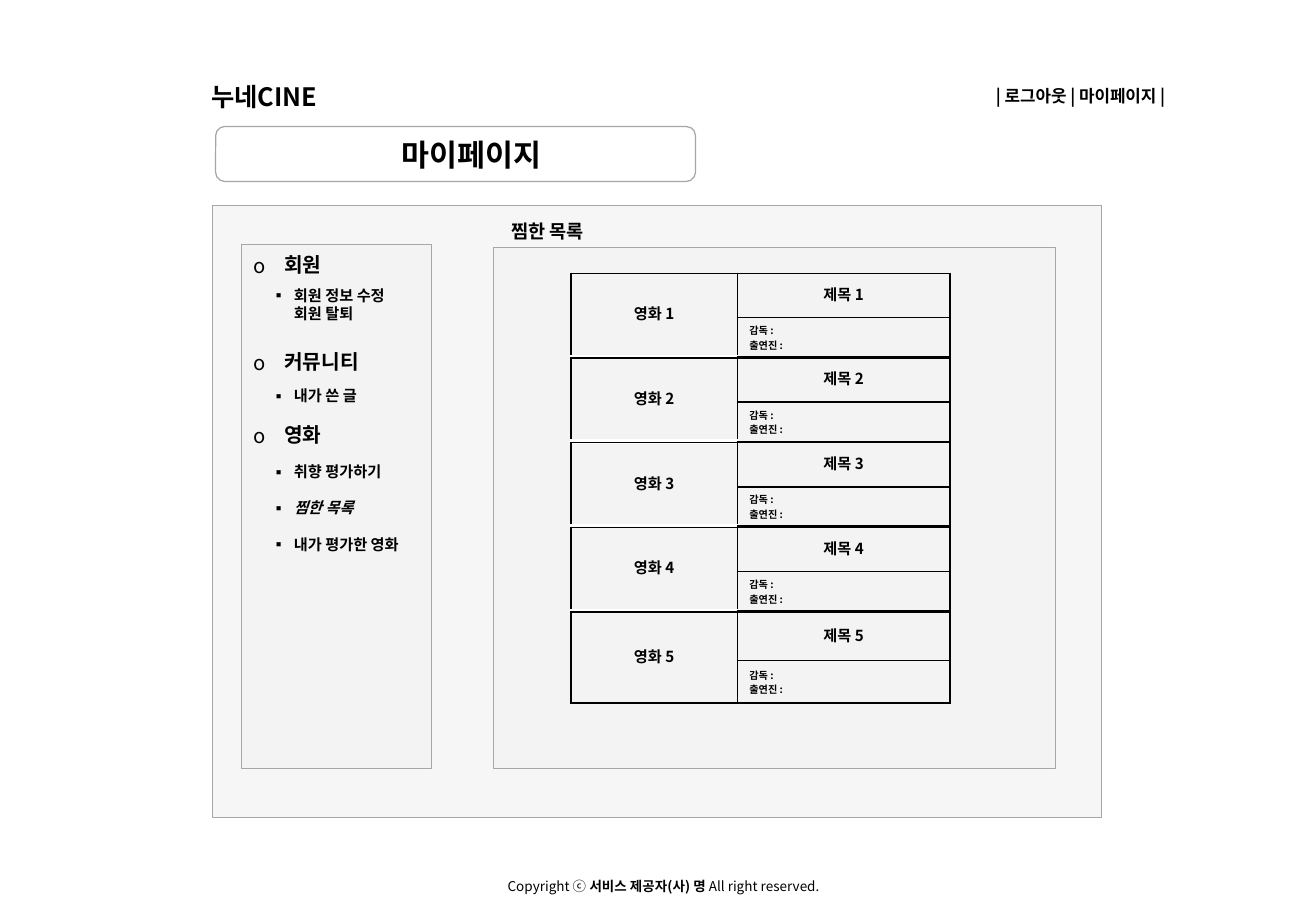
from dataclasses import dataclass

from lxml.etree import SubElement
from pptx import Presentation
from pptx.dml.color import RGBColor
from pptx.enum.shapes import MSO_SHAPE as Preset
from pptx.enum.text import MSO_ANCHOR as Anchor, MSO_AUTO_SIZE as AutoSize, PP_ALIGN as Align
from pptx.oxml.ns import qn
from pptx.util import Pt


@dataclass(frozen=True)
class Theme:
    font: str = "Noto Sans CJK KR"
    ink: str = "000000"
    paper: str = "FFFFFF"
    panel: str = "F2F2F2"
    outline: str = "A6A6A6"
    panel_opacity: int = 69
    title: int = 18
    logo: int = 15
    heading: int = 12
    subtitle: int = 11
    links: int = 10
    item: int = 9
    copyright: int = 8
    detail: int = 6


THEME = Theme()

# Text, menu level, space before
MENU = [
    ("회원", 0, 0),
    ("회원 정보 수정\v회원 탈퇴", 1, 5.6),
    ("커뮤니티", 0, 12.4),
    ("내가 쓴 글", 1, 7.5),
    ("영화", 0, 7.1),
    ("취향 평가하기", 1, 9.2),
    ("찜한 목록", 1, 10.7),
    ("내가 평가한 영화", 1, 10.7),
]
CURRENT_ITEM = "찜한 목록"
MOVIE_COUNT = 5


def style_span(span, size, bold=True, italic=False):
    font = span.font
    font.name, font.size, font.bold, font.italic = THEME.font, Pt(size), bold, italic
    font.color.rgb = RGBColor.from_string(THEME.ink)
    SubElement(font._element, qn("a:ea"), typeface=THEME.font)


def style_para(para, size, align=Align.LEFT, spacing=1.2, italic=False):
    para.alignment = align
    para.line_spacing = Pt(size * spacing)
    para.space_before = para.space_after = Pt(0)
    for span in para.runs:
        style_span(span, size, italic=italic)


def place(shape, left, top, width, height):
    shape.left, shape.top, shape.width, shape.height = map(Pt, (left, top, width, height))


def fill_panel(shape):
    """Give a shape the pale, partly transparent panel fill and grey outline."""
    shape.fill.solid()
    shape.fill.fore_color.rgb = RGBColor.from_string(THEME.panel)
    color = shape.element.spPr.find(qn("a:solidFill"))[0]
    SubElement(color, qn("a:alpha"), val=str(THEME.panel_opacity * 1000))
    outline(shape)


def outline(shape):
    shape.line.color.rgb = RGBColor.from_string(THEME.outline)
    shape.line.width = Pt(0.75)


def add_frame(page, preset, left, top, width, height):
    """Add a panel behind the placeholders."""
    frame = page.shapes.add_shape(preset, Pt(left), Pt(top), Pt(width), Pt(height))
    frame.shadow.inherit = False
    if preset == Preset.RECTANGLE:
        fill_panel(frame)
    else:
        frame.fill.background()
        outline(frame)
    page.shapes.title.element.addprevious(frame.element)


def add_label(page, text, size, left, top, width, height, align=Align.LEFT):
    box = page.shapes.add_textbox(Pt(left), Pt(top), Pt(width), Pt(height))
    box.text_frame.word_wrap = True
    box.text_frame.text = text
    style_para(box.text_frame.paragraphs[0], size, align)
    return box.text_frame.paragraphs[0]


def add_copyright(page):
    para = add_label(page, "Copyright ⓒ ", THEME.copyright, 293.8, 517, 208, 17.3)
    para.runs[0].font.bold = False
    for text, bold in (("서비스 제공자(사) 명", True), (" All right reserved.", False)):
        span = para.add_run()
        span.text = text
        style_span(span, THEME.copyright, bold)


def set_bullet(para, char, margin, indent):
    props = para._p.get_or_add_pPr()
    props.set("marL", str(Pt(margin)))
    props.set("indent", str(Pt(-indent)))
    SubElement(props, qn("a:buFont"), typeface=THEME.font)
    SubElement(props, qn("a:buChar"), char=char)


def fill_title(title):
    place(title, 198.7, 77, 161.3, 28.8)
    frame = title.text_frame
    frame.text = "마이페이지"
    frame.auto_size = AutoSize.NONE
    frame.vertical_anchor = Anchor.TOP
    style_para(frame.paragraphs[0], THEME.title, Align.CENTER)


def fill_menu(body):
    place(body, 143.3, 144.7, 112.5, 311)
    fill_panel(body)
    frame = body.text_frame
    frame.text = "\n".join(text for text, level, gap in MENU)
    frame.auto_size = AutoSize.NONE
    frame.vertical_anchor = Anchor.TOP
    frame.margin_top = Pt(1.2)
    for para, (text, level, gap) in zip(frame.paragraphs, MENU):
        para.level = level
        if level:
            set_bullet(para, "▪", 23.7, 13.5)
            style_para(para, THEME.item, italic=text == CURRENT_ITEM)
        else:
            set_bullet(para, "o", 18, 18)
            style_para(para, THEME.heading, spacing=1.5)
        para.space_before = Pt(gap)


def set_borders(cell, bottom_color, bottom_width):
    props = cell._tc.get_or_add_tcPr()
    sides = [(side, THEME.ink, 1) for side in ("lnL", "lnR", "lnT")]
    for side, color, width in sides + [("lnB", bottom_color, bottom_width)]:
        line = SubElement(props, qn(f"a:{side}"), w=str(Pt(width)))
        SubElement(SubElement(line, qn("a:solidFill")), qn("a:srgbClr"), val=color)


def fill_cell(cell, text, size, align, spacing=1.2):
    cell.text = text
    cell.vertical_anchor = Anchor.MIDDLE
    cell.margin_top = cell.margin_bottom = Pt(2)
    style_para(cell.text_frame.paragraphs[0], size, align, spacing)


def add_movie(page, number):
    last = number == MOVIE_COUNT
    heights = (28.8, 25.2) if last else (26.2, 23.3)
    widths = (98.6, 126)
    top = 162 + 50.2 * (number - 1)
    table = page.shapes.add_table(
        2, 2, Pt(338.4), Pt(top), Pt(sum(widths)), Pt(sum(heights))
    ).table
    table.first_row = table.horz_banding = False
    for column, width in zip(table.columns, widths):
        column.width = Pt(width)
    for row, height in zip(table.rows, heights):
        row.height = Pt(height)
        for index, cell in enumerate(row.cells):
            white_edge = index == 0 and not last
            set_borders(cell, *((THEME.paper, 3) if white_edge else (THEME.ink, 1)))
            cell.fill.background()
    table.cell(0, 0).merge(table.cell(1, 0))
    fill_cell(table.cell(0, 0), f"영화 {number}", THEME.item, Align.CENTER)
    fill_cell(table.cell(0, 1), f"제목 {number}", THEME.item, Align.CENTER)
    fill_cell(table.cell(1, 1), "감독 :\v출연진 :", THEME.detail, Align.LEFT, 1.45)


def main():
    deck = Presentation()
    deck.slide_width, deck.slide_height = Pt(780), Pt(540)
    page = deck.slides.add_slide(deck.slide_layouts[1])
    add_frame(page, Preset.ROUNDED_RECTANGLE, 127.8, 75, 284.4, 32.6)
    add_frame(page, Preset.RECTANGLE, 126, 121.7, 527, 363)
    add_frame(page, Preset.RECTANGLE, 292.3, 146.9, 333.4, 308.9)
    fill_title(page.shapes.title)
    fill_menu(page.placeholders[1])
    add_label(page, "누네CINE", THEME.logo, 118.1, 44.6, 81.4, 25.2)
    add_label(page, "| 로그아웃 | 마이페이지 |", THEME.links, 546.5, 47.5, 151.2, 18.7, Align.RIGHT)
    add_label(page, "찜한 목록", THEME.subtitle, 295.9, 126.7, 102.2, 31.7)
    for number in range(1, MOVIE_COUNT + 1):
        add_movie(page, number)
    add_copyright(page)
    deck.save("out.pptx")


if __name__ == "__main__":
    main()
